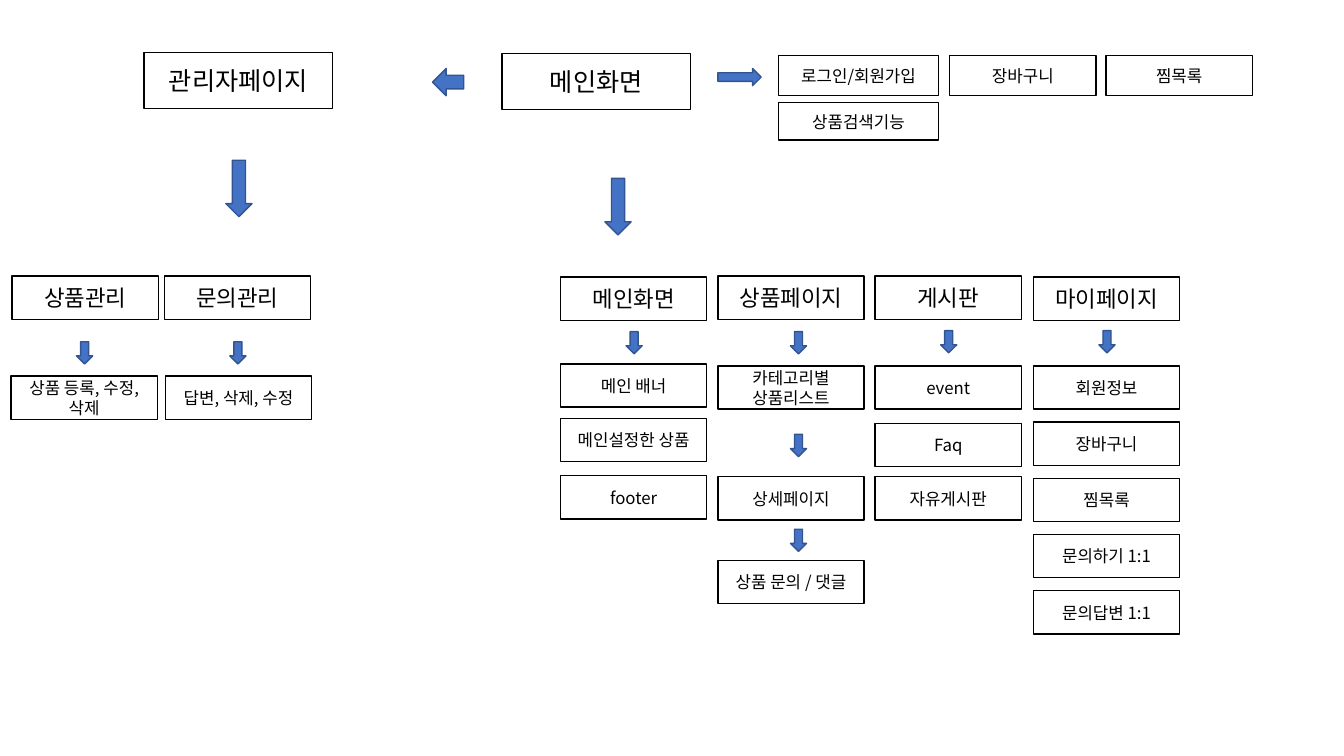
from pptx import Presentation
from pptx.dml.color import RGBColor
from pptx.enum.shapes import MSO_SHAPE
from pptx.enum.text import MSO_ANCHOR, PP_ALIGN
from pptx.oxml.ns import qn
from pptx.util import Inches, Pt
from lxml.etree import SubElement

FONT = "Noto Sans CJK KR"
BLACK, WHITE, BLUE, NAVY = "000000", "FFFFFF", "4472C4", "325491"

# Content: top-level pages as (text, left, top)
PAGES = [("관리자페이지", 1.43, 0.52), ("메인화면", 4.98, 0.53)]
PAGE_SIZE = (1.87, 0.56)

# Shortcuts beside the main page: (text, left, top, width, height)
SHORTCUTS = [
    ("로그인/회원가입", 7.72, 0.55, 1.59, 0.4),
    ("장바구니", 9.42, 0.55, 1.45, 0.4),
    ("찜목록", 10.97, 0.55, 1.45, 0.4),
    ("상품검색기능", 7.72, 1.02, 1.59, 0.37),
]

# Arrows leaving the top-level pages: (direction, left, top, width, height)
PAGE_ARROWS = [
    (MSO_SHAPE.LEFT_ARROW, 4.29, 0.68, 0.31, 0.27),
    (MSO_SHAPE.RIGHT_ARROW, 7.12, 0.68, 0.43, 0.17),
    (MSO_SHAPE.DOWN_ARROW, 2.24, 1.59, 0.26, 0.56),
    (MSO_SHAPE.DOWN_ARROW, 6.0, 1.77, 0.26, 0.56),
]

# Menus: heading, its place, first item's place, step between items,
# items, left of the arrows and their tops
MENUS = [
    ("상품관리", (0.12, 2.74), (0.11, 3.73), 0, ["상품 등록, 수정, 삭제"], 0.76, [3.39]),
    ("문의관리", (1.63, 2.74), (1.64, 3.73), 0, ["답변, 삭제, 수정"], 2.28, [3.39]),
    ("메인화면", (5.56, 2.75), (5.56, 3.61), 0.555,
     ["메인 배너", "메인설정한 상품", "footer"], 6.21, [3.29]),
    ("상품페이지", (7.12, 2.74), (7.12, 3.63), 0.965,
     ["카테고리별 상품리스트", "상세페이지", "상품 문의 / 댓글"], 7.84, [3.29, 4.31, 5.25]),
    ("게시판", (8.68, 2.74), (8.68, 3.63), 0.55,
     ["event", "Faq", "자유게시판"], 9.33, [3.28]),
    ("마이페이지", (10.25, 2.75), (10.25, 3.63), 0.5575,
     ["회원정보", "장바구니", "찜목록", "문의하기 1:1", "문의답변 1:1"], 10.9, [3.28]),
]
# Items that sit off their menu's even step
ITEM_TOPS = {"메인설정한 상품": 4.15, "상세페이지": 4.73, "Faq": 4.2}
MENU_SIZE = (1.45, 0.43)
MENU_ARROW_SIZE = (0.16, 0.22)

presentation = Presentation()
presentation.slide_width, presentation.slide_height = Inches(13.33), Inches(7.5)
slide = presentation.slides.add_slide(presentation.slide_layouts[6])


def color(value):
    return RGBColor.from_string(value)


def add_part(preset, place, fill, line):
    part = slide.shapes.add_shape(preset, *(Inches(length) for length in place))
    part.shadow.inherit = False
    part.fill.solid()
    part.fill.fore_color.rgb = color(fill)
    part.line.color.rgb = color(line)
    part.line.width = Pt(1)
    return part


def add_box(text, place, size):
    box = add_part(MSO_SHAPE.RECTANGLE, place, WHITE, BLACK)
    box.text_frame.word_wrap = True
    box.text_frame.vertical_anchor = MSO_ANCHOR.MIDDLE
    paragraph = box.text_frame.paragraphs[0]
    paragraph.alignment = PP_ALIGN.CENTER
    run = paragraph.add_run()
    run.text = text
    for name, value in {"name": FONT, "size": Pt(size)}.items():
        setattr(run.font, name, value)
    run.font.color.rgb = color(BLACK)
    # Korean glyphs take the East Asian typeface
    SubElement(run.font._element, qn("a:ea"), typeface=FONT)


def add_arrow(direction, place):
    add_part(direction, place, BLUE, NAVY)


# Top row
for text, *corner in PAGES:
    add_box(text, (*corner, *PAGE_SIZE), 18)
for text, *place in SHORTCUTS:
    add_box(text, place, 12)
for direction, *place in PAGE_ARROWS:
    add_arrow(direction, place)

# Menus with their items
for heading, corner, (left, first_top), step, items, arrow_left, arrow_tops in MENUS:
    add_box(heading, (*corner, *MENU_SIZE), 16)
    for index, item in enumerate(items):
        top = ITEM_TOPS.get(item, first_top + index * step)
        add_box(item, (left, top, *MENU_SIZE), 12)
    for top in arrow_tops:
        add_arrow(MSO_SHAPE.DOWN_ARROW, (arrow_left, top, *MENU_ARROW_SIZE))

presentation.save("out.pptx")
